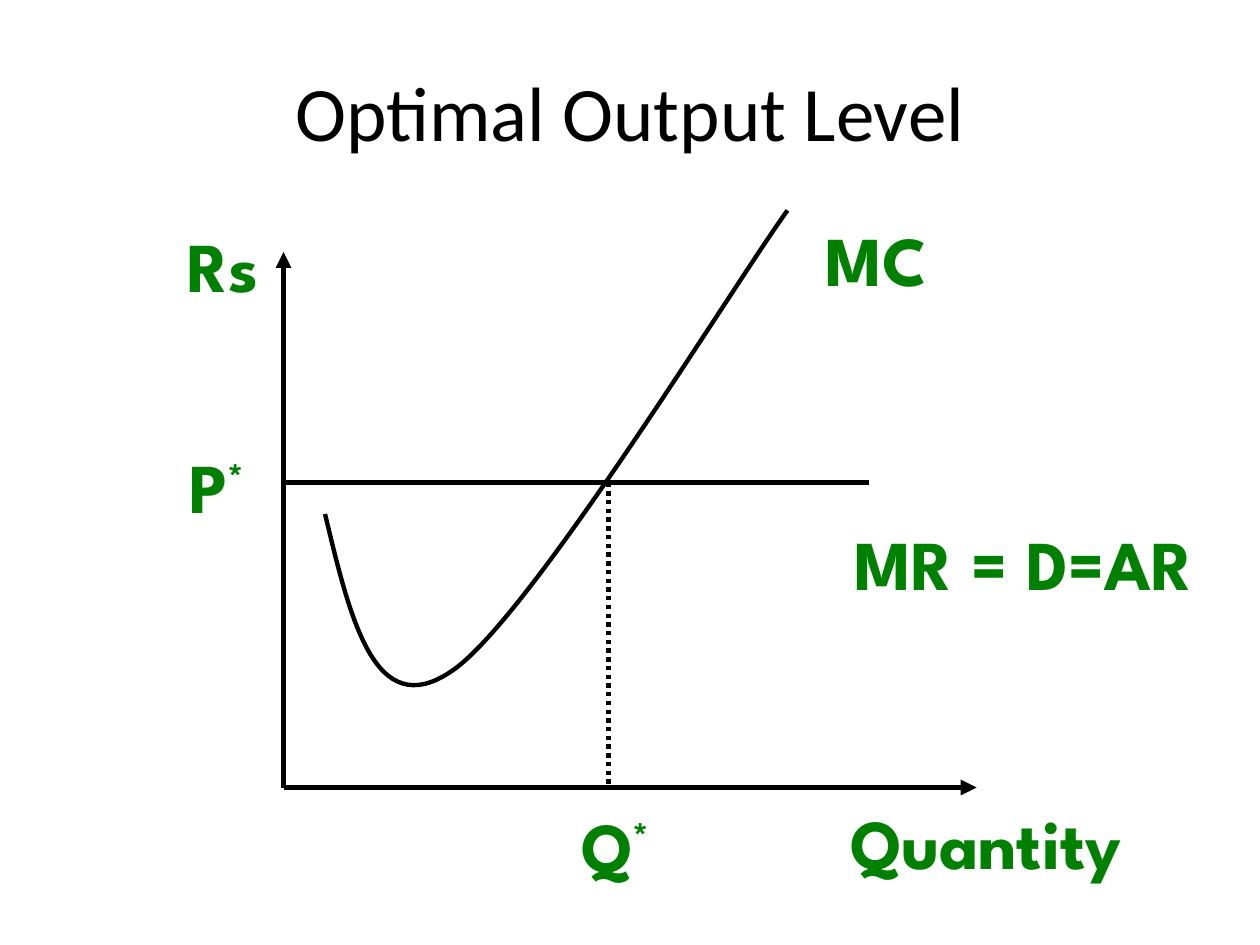
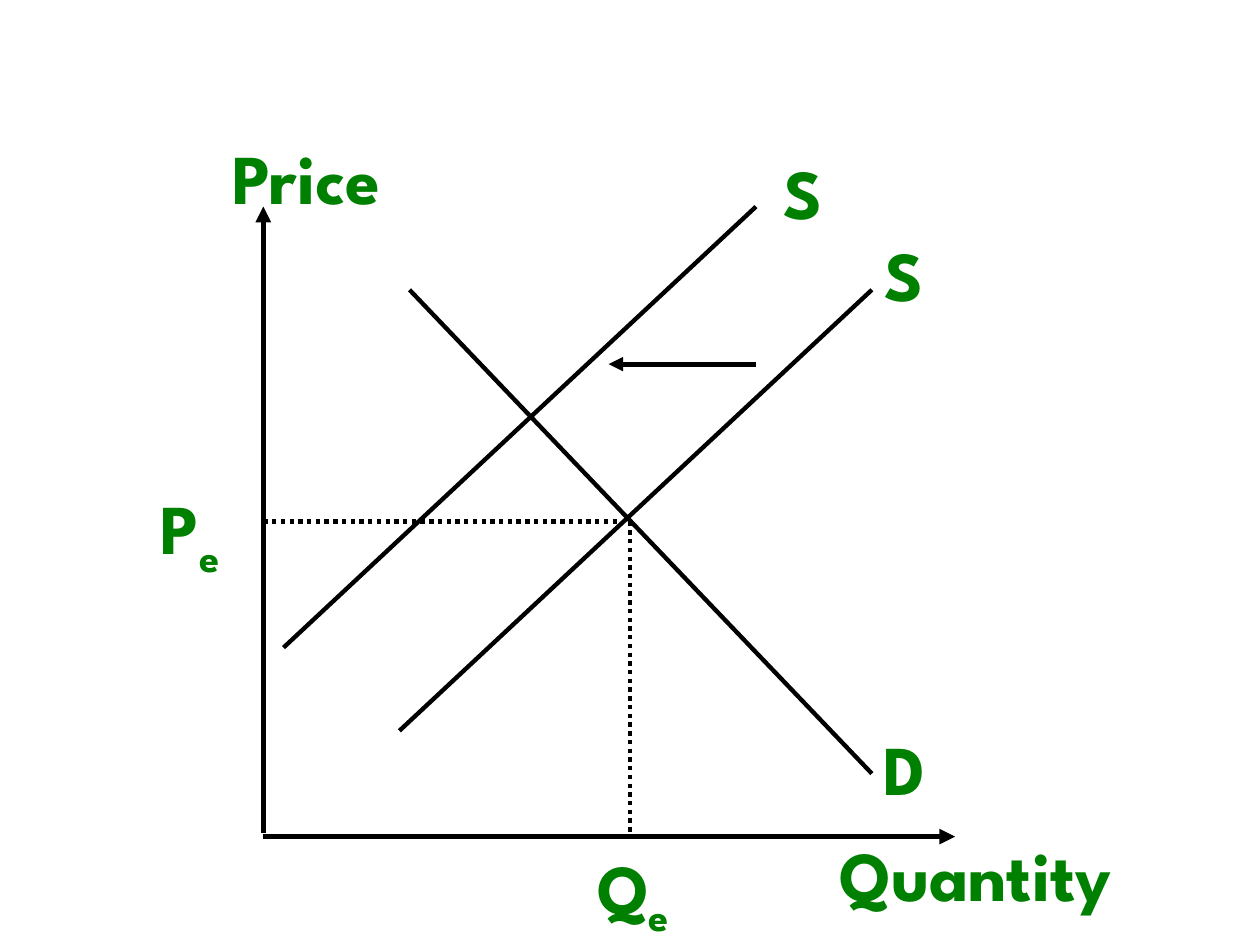
from lxml import etree
from pptx import Presentation
from pptx.dml.color import RGBColor
from pptx.enum import dml, shapes, text
from pptx.oxml import ns
from pptx.util import Inches, Pt

COLORS = {"ink": "000000", "label": "008000"}
LABEL_FONT, TITLE_FONT = "League Spartan", "Calibri"
SUPER, SUB = 30000, -25000


def add_line(page, start, end, width=2.5, arrow=False, dotted=False):
    line = page.shapes.add_connector(
        shapes.MSO_CONNECTOR.STRAIGHT, *[Inches(v) for v in (*start, *end)])
    line.line.color.rgb = RGBColor.from_string(COLORS["ink"])
    line.line.width = Pt(width)
    if dotted:
        line.line.dash_style = dml.MSO_LINE.ROUND_DOT
    properties = line._element.spPr
    if arrow:
        etree.SubElement(properties.find(ns.qn("a:ln")), ns.qn("a:tailEnd"), type="triangle")
    etree.SubElement(properties, ns.qn("a:effectLst"))


def add_text(page, place, words, mark="", shift=0, title=False):
    """Add a centred label or title; mark is a raised or lowered suffix."""
    box = page.shapes.add_textbox(*[Inches(v) for v in place])
    frame = box.text_frame
    frame.word_wrap = title
    if title:
        frame.vertical_anchor = text.MSO_ANCHOR.MIDDLE
    else:
        frame.auto_size = text.MSO_AUTO_SIZE.SHAPE_TO_FIT_TEXT
    para = frame.paragraphs[0]
    para.alignment = text.PP_ALIGN.CENTER
    for part, baseline in ((words, 0), (mark, shift)):
        if not part:
            continue
        span = para.add_run()
        span.text = part
        span.font.name = TITLE_FONT if title else LABEL_FONT
        span.font.size = Pt(44 if title else 40)
        span.font.bold = not title
        span.font.color.rgb = RGBColor.from_string(COLORS["ink" if title else "label"])
        if baseline:
            span.font._element.set("baseline", str(baseline))


deck = Presentation()
deck.slide_width, deck.slide_height = Inches(10), Inches(7.5)
blank = deck.slide_layouts[6]

# Slide 1: optimal output where marginal cost meets marginal revenue
page = deck.slides.add_slide(blank)
origin, price, quantity = (2.25, 6.25), 3.83, 4.83
add_line(page, origin, (origin[0], 2), 3, arrow=True)
add_line(page, origin, (7.75, origin[1]), 3, arrow=True)
add_line(page, (origin[0], price), (6.9, price))

# The marginal cost curve: a start, then three control points per segment
start = (2.58, 4.08)
controls = [(2.78, 4.91), (2.97, 5.74), (3.58, 5.33),
            (4.19, 4.93), (5.81, 2.28), (6.25, 1.67)]
builder = page.shapes.build_freeform(Inches(start[0]), Inches(start[1]))
builder.add_line_segments([(Inches(x), Inches(y)) for x, y in controls], close=False)
curve = builder.convert_to_shape()
curve.shadow.inherit = False
curve.fill.background()
curve.line.color.rgb = RGBColor.from_string(COLORS["ink"])
curve.line.width = Pt(2.5)
outline = curve._element.spPr.find(".//" + ns.qn("a:path"))
segments = outline.findall(ns.qn("a:lnTo"))
for first in range(0, len(segments), 3):
    bezier = etree.SubElement(outline, ns.qn("a:cubicBezTo"))
    for segment in segments[first:first + 3]:
        bezier.append(segment[0])
        outline.remove(segment)

add_line(page, (quantity, price), (quantity, origin[1]), dotted=True)
for place, words, mark in (
    ((1.35, 1.72, 0.84, 0.77), "Rs", ""),
    ((6.42, 1.67, 1.07, 0.77), "MC", ""),
    ((6.54, 4.08, 3.17, 0.77), "MR = D=AR", ""),
    ((6.49, 6.3, 2.67, 0.77), "Quantity", ""),
    ((4.48, 6.32, 0.81, 0.77), "Q", "*"),
    ((1.36, 3.47, 0.72, 0.77), "P", "*"),
):
    add_text(page, place, words, mark, SUPER)
add_text(page, (0.75, 0.25, 8.5, 1.25), "Optimal Output Level", title=True)

# Slide 2: supply shifts left along the demand line
page = deck.slides.add_slide(blank)
origin, price, quantity = (2.09, 6.64), 4.14, 5
add_line(page, (origin[0], 6.61), (origin[0], 1.64), 3, arrow=True)
add_line(page, origin, (7.58, origin[1]), 3, arrow=True)
for supply_end in ((6.92, 2.3), (6, 1.64)):
    add_line(page, supply_end, (supply_end[0] - 3.75, supply_end[1] + 3.5))
add_line(page, (3.25, 2.3), (6.92, 6.14))
add_line(page, (quantity, price), (quantity, 6.61), dotted=True)
add_line(page, (origin[0], price), (4.92, price), dotted=True)
add_line(page, (6, 2.89), (4.83, 2.89), 2.75, arrow=True)
for place, words, mark in (
    ((1.5, 1.02, 1.72, 0.77), " Price", ""),
    ((6.92, 1.79, 0.5, 0.77), "S", ""),
    ((6.12, 1.14, 0.5, 0.77), "S", ""),
    ((6.87, 5.71, 0.61, 0.77), "D", ""),
    ((6.41, 6.55, 2.67, 0.77), "Quantity", ""),
    ((1, 3.8, 1.02, 0.86), "P", "e"),
    ((4.61, 6.65, 0.83, 0.86), "Q", "e"),
):
    add_text(page, place, words, mark, SUB)

deck.save("out.pptx")
